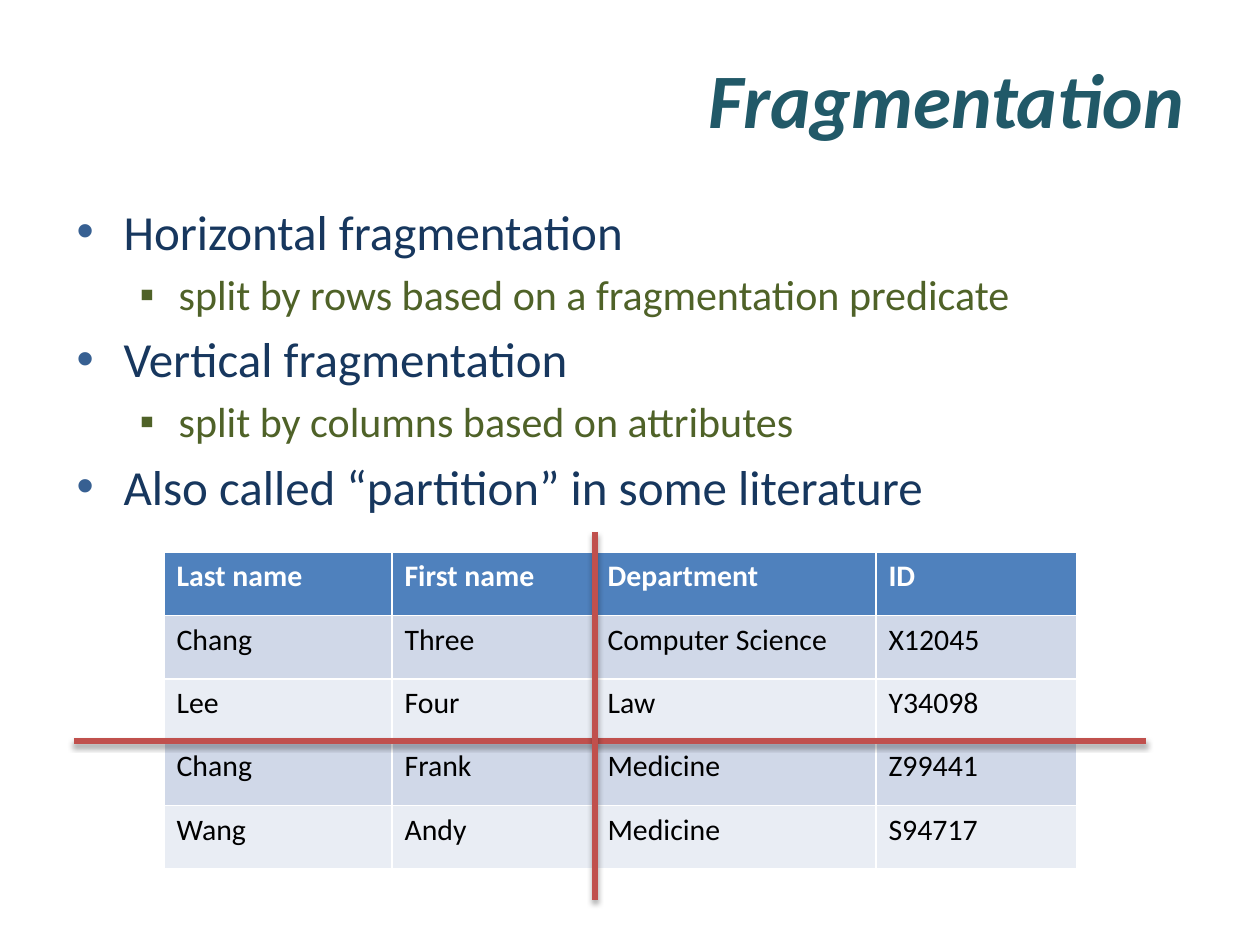
from lxml import etree
from pptx import Presentation
from pptx.dml.color import RGBColor
from pptx.enum.shapes import MSO_CONNECTOR
from pptx.enum.text import MSO_ANCHOR, MSO_AUTO_SIZE, PP_ALIGN
from pptx.oxml.ns import qn
from pptx.util import Pt

# Content
TITLE = "Fragmentation"
BULLETS = [
    (0, "Horizontal fragmentation"),
    (1, "split by rows based on a fragmentation predicate"),
    (0, "Vertical fragmentation"),
    (1, "split by columns based on attributes"),
    (0, "Also called “partition” in some literature"),
]
RECORDS = [
    ("Last name", "First name", "Department", "ID"),
    ("Chang", "Three", "Computer Science", "X12045"),
    ("Lee", "Four", "Law", "Y34098"),
    ("Chang", "Frank", "Medicine", "Z99441"),
    ("Wang", "Andy", "Medicine", "S94717"),
]

# Style; lengths in px
EMU_PER_PX = 914400 // 126
FONT = "Calibri"
COLORS = {
    "title": "215968", "point": "17375E", "detail": "4F6228", "dot": "376092",
    "header": "4F81BD", "odd": "D0D8E8", "even": "E9EDF4",
    "white": "FFFFFF", "black": "000000", "split": "C0504D",
}
LEVELS = [  # size, text colour, bullet, bullet colour, margin, indent
    (28, "point", "•", "dot", 47, -47),
    (24, "detail", "▪", "detail", 102, -39),
]
TITLE_BOX = (63, 38, 1134, 120)
BODY_BOX = (64, 195, 1134, 624)
TABLE_LEFT, TABLE_TOP, TABLE_HEIGHT = 164, 552, 317
COL_WIDTHS = [228, 203, 281, 201]
SPLITS = [(74, 741, 1146, 741), (595, 532, 595, 900)]


def px(n):
    return n * EMU_PER_PX


def rgb(name):
    return RGBColor.from_string(COLORS[name])


def place(sp, box):
    sp.left, sp.top, sp.width, sp.height = map(px, box)


def style(font, size, color, bold=False, italic=False):
    font.name, font.size, font.bold, font.italic = FONT, Pt(size), bold, italic
    font.color.rgb = rgb(color)


def add_bullet(p, char, color, margin, indent):
    pPr = p._p.get_or_add_pPr()
    pPr.set("marL", str(px(margin)))
    pPr.set("indent", str(px(indent)))
    clr = etree.SubElement(pPr, qn("a:buClr"))
    etree.SubElement(clr, qn("a:srgbClr"), val=COLORS[color])
    etree.SubElement(pPr, qn("a:buFont"), typeface="Arial")
    etree.SubElement(pPr, qn("a:buChar"), char=char)


def add_shadow(line):
    effects = etree.SubElement(line._element.spPr, qn("a:effectLst"))
    shadow = etree.SubElement(effects, qn("a:outerShdw"), blurRad=str(Pt(3.1)),
                              dist=str(Pt(1.8)), dir="5400000", rotWithShape="0")
    clr = etree.SubElement(shadow, qn("a:srgbClr"), val=COLORS["black"])
    etree.SubElement(clr, qn("a:alpha"), val="35000")


prs = Presentation()
prs.slide_width, prs.slide_height = px(1260), px(945)
slide = prs.slides.add_slide(prs.slide_layouts[1])

# Title
title = slide.shapes.title
place(title, TITLE_BOX)
tf = title.text_frame
tf.text = TITLE
tf.auto_size = MSO_AUTO_SIZE.NONE
tf.vertical_anchor = MSO_ANCHOR.MIDDLE
p = tf.paragraphs[0]
p.alignment = PP_ALIGN.RIGHT
style(p.runs[0].font, 44, "title", bold=True, italic=True)

# Bullet list
body = slide.placeholders[1]
place(body, BODY_BOX)
tf = body.text_frame
tf.auto_size = MSO_AUTO_SIZE.NONE
for i, (level, text) in enumerate(BULLETS):
    size, color, char, char_color, margin, indent = LEVELS[level]
    p = tf.add_paragraph() if i else tf.paragraphs[0]
    p.text = text
    p.level = level
    add_bullet(p, char, char_color, margin, indent)
    p.space_before = Pt(size * 0.2 if i else 0)
    style(p.runs[0].font, size, color)

# Table
table = slide.shapes.add_table(
    len(RECORDS), len(COL_WIDTHS), px(TABLE_LEFT), px(TABLE_TOP),
    px(sum(COL_WIDTHS)), px(TABLE_HEIGHT)).table
for column, width in zip(table.columns, COL_WIDTHS):
    column.width = px(width)
for r, record in enumerate(RECORDS):
    table.rows[r].height = px(TABLE_HEIGHT) // len(RECORDS)
    fill = "header" if r == 0 else ("odd" if r % 2 else "even")
    for c, text in enumerate(record):
        cell = table.cell(r, c)
        cell.text = text
        cell.fill.solid()
        cell.fill.fore_color.rgb = rgb(fill)
        style(cell.text_frame.paragraphs[0].runs[0].font, 17,
              "black" if r else "white", bold=r == 0)

# Lines that split the table by rows and by columns
for ends in SPLITS:
    line = slide.shapes.add_connector(MSO_CONNECTOR.STRAIGHT, *map(px, ends))
    line.line.color.rgb = rgb("split")
    line.line.width = Pt(3)
    add_shadow(line)

prs.save("out.pptx")
